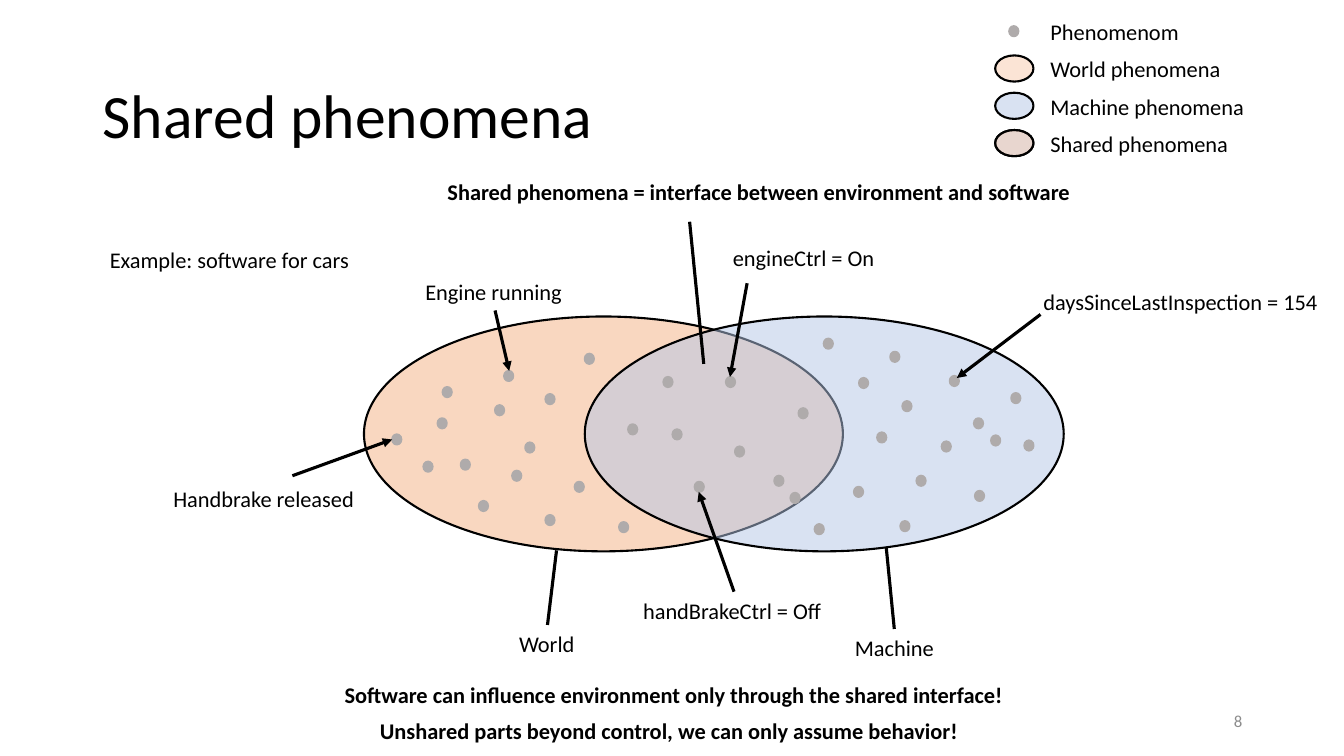
from lxml import etree
from pptx import Presentation
from pptx.dml.color import RGBColor
from pptx.enum.shapes import MSO_CONNECTOR, MSO_SHAPE
from pptx.enum.text import MSO_ANCHOR, PP_ALIGN
from pptx.oxml.ns import qn
from pptx.util import Inches, Pt

ELLIPSE = MSO_SHAPE.OVAL
STRAIGHT = MSO_CONNECTOR.STRAIGHT
TOP, MIDDLE = MSO_ANCHOR.TOP, MSO_ANCHOR.MIDDLE
LEFT, RIGHT = PP_ALIGN.LEFT, PP_ALIGN.RIGHT

BLACK = RGBColor(0x00, 0x00, 0x00)
GRAY = RGBColor(0x8C, 0x8C, 0x8C)
DOT_GRAY = RGBColor(0xAF, 0xAB, 0xAB)
ORANGE = RGBColor(0xF4, 0xB1, 0x83)
LIGHT_ORANGE = RGBColor(0xF8, 0xCB, 0xAD)
LIGHT_BLUE = RGBColor(0xB4, 0xC7, 0xE7)

FONT = "Calibri"
LABEL_HEIGHT = 0.37
SET_TOP, SET_WIDTH, SET_HEIGHT = 3.14, 4.75, 2.33
LEGEND_TOP, LEGEND_STEP = 0.13, 0.37

# Left and top of each phenomenon
WORLD_DOTS = [
    (5.8, 3.51), (5.41, 3.91), (5, 3.68), (4.34, 4.15), (4.39, 3.84),
    (4.91, 4.02), (4.57, 4.56), (3.89, 4.31), (4.2, 4.58), (4.75, 4.97),
    (5.08, 4.67), (5.21, 4.39), (5.41, 5.11), (5.7, 4.78), (6.14, 5.18),
]
SHARED_DOTS = [
    (6.58, 3.74), (7.2, 3.74), (6.67, 4.26), (7.29, 4.43), (6.89, 4.78),
    (6.23, 4.21), (7.92, 4.05), (7.68, 4.72), (7.84, 4.89),
]
MACHINE_DOTS = [
    (8.17, 3.36), (8.52, 3.75), (8.83, 3.49), (8.95, 3.98), (8.7, 4.29),
    (8.47, 4.83), (8.08, 5.2), (9.09, 4.72), (10.16, 4.37), (10.03, 3.9),
    (9.42, 3.73), (9.66, 4.15), (9.83, 4.32), (9.34, 4.38), (9.67, 4.87),
    (8.93, 5.17),
]

# Text, left, top, width
LABELS = [
    ("Example: software for cars", 0.99, 2.39, 2.61),
    ("Handbrake released", 1.62, 4.76, 2.02),
    ("handBrakeCtrl = Off", 6.28, 5.87, 1.99),
    ("daysSinceLastInspection = 154", 10.25, 2.81, 2.95),
    ("Engine running", 4.12, 2.71, 1.57),
    ("engineCtrl = On", 7.17, 2.37, 1.62),
    ("World", 5.05, 6.2, 0.76),
    ("Machine", 8.38, 6.24, 0.99),
]
STATEMENTS = [
    ("Shared phenomena = interface between environment and software",
     4.34, 1.72, 6.46),
    ("Software can influence environment only through the shared interface!",
     3.32, 6.71, 6.78),
    ("Unshared parts beyond control, we can only assume behavior!",
     3.67, 7.07, 6.06),
]

# Start and end points
ARROWS = [
    ((2.9, 4.72), (3.89, 4.36)),
    ((7.28, 5.87), (6.93, 4.88)),
    ((10.32, 3.12), (9.49, 3.75)),
    ((4.91, 3.08), (5.05, 3.68)),
    ((7.41, 2.81), (7.24, 3.74)),
]
LEADERS = [
    ((5.52, 5.46), (5.43, 6.2)),
    ((8.79, 5.43), (8.87, 6.24)),
    ((6.84, 2.2), (6.98, 3.61)),
]

# Text, width, fills stacked in the symbol (none for a dot)
LEGEND = [
    ("Phenomenom", 1.49, []),
    ("World phenomena", 1.91, [LIGHT_ORANGE]),
    ("Machine phenomena", 2.14, [LIGHT_BLUE]),
    ("Shared phenomena", 1.99, [LIGHT_BLUE, LIGHT_ORANGE]),
]


def add_text(slide, text, left, top, width, height=LABEL_HEIGHT, size=16,
             color=BLACK, bold=False, wrap=False, anchor=TOP, align=LEFT):
    box = slide.shapes.add_textbox(
        Inches(left), Inches(top), Inches(width), Inches(height))
    text_frame = box.text_frame
    text_frame.text = text
    text_frame.word_wrap = wrap
    text_frame.vertical_anchor = anchor
    paragraph = text_frame.paragraphs[0]
    paragraph.alignment = align
    font = paragraph.runs[0].font
    font.name, font.size, font.bold = FONT, Pt(size), bold
    font.color.rgb = color


def add_ellipse(slide, left, top, width, height, fill, line=BLACK, opacity=100):
    shape = slide.shapes.add_shape(
        ELLIPSE, Inches(left), Inches(top), Inches(width), Inches(height))
    shape.shadow.inherit = False
    shape.fill.solid()
    shape.fill.fore_color.rgb = fill
    shape.line.color.rgb = line
    shape.line.width = Pt(1.5)
    if opacity < 100:
        color = shape.fill._xPr.find(qn("a:solidFill"))[0]
        etree.SubElement(color, qn("a:alpha"), val=str(opacity * 1000))


def add_dot(slide, left, top):
    add_ellipse(slide, left, top, 0.09, 0.1, DOT_GRAY, DOT_GRAY)


def add_line(slide, start, end, arrow=False):
    points = [Inches(value) for value in (*start, *end)]
    connector = slide.shapes.add_connector(STRAIGHT, *points)
    connector.line.color.rgb = BLACK
    connector.line.width = Pt(2.25)
    if arrow:
        etree.SubElement(connector.line._get_or_add_ln(), qn("a:tailEnd"),
                         type="triangle")
    etree.SubElement(connector._element.spPr, qn("a:effectLst"))


def add_legend(slide):
    for row, (text, width, fills) in enumerate(LEGEND):
        top = LEGEND_TOP + row * LEGEND_STEP
        add_text(slide, text, 10.32, top, width)
        if not fills:
            add_dot(slide, 10.01, top + 0.13)
        for fill in fills:
            add_ellipse(slide, 9.87, top + 0.05, 0.38, 0.26, fill, opacity=50)


def main():
    presentation = Presentation()
    presentation.slide_width = Inches(13.33)
    presentation.slide_height = Inches(7.5)
    slide = presentation.slides.add_slide(presentation.slide_layouts[6])

    # Title
    add_text(slide, "Shared phenomena", 0.92, 0.4, 11.5, 1.45, size=44,
             wrap=True, anchor=MIDDLE)

    # Overlapping sets and their phenomena
    for left, fill in ((3.61, ORANGE), (5.8, LIGHT_BLUE)):
        add_ellipse(slide, left, SET_TOP, SET_WIDTH, SET_HEIGHT, fill,
                    opacity=50)
    for left, top in WORLD_DOTS + SHARED_DOTS + MACHINE_DOTS:
        add_dot(slide, left, top)

    # Labels with arrows and leader lines
    for label in LABELS:
        add_text(slide, *label)
    for statement in STATEMENTS:
        add_text(slide, *statement, bold=True)
    for start, end in ARROWS:
        add_line(slide, start, end, arrow=True)
    for start, end in LEADERS:
        add_line(slide, start, end)

    add_legend(slide)

    # Slide number
    add_text(slide, "8", 9.42, 6.95, 3, 0.4, size=12, color=GRAY,
             wrap=True, anchor=MIDDLE, align=RIGHT)

    presentation.save("out.pptx")


if __name__ == "__main__":
    main()
